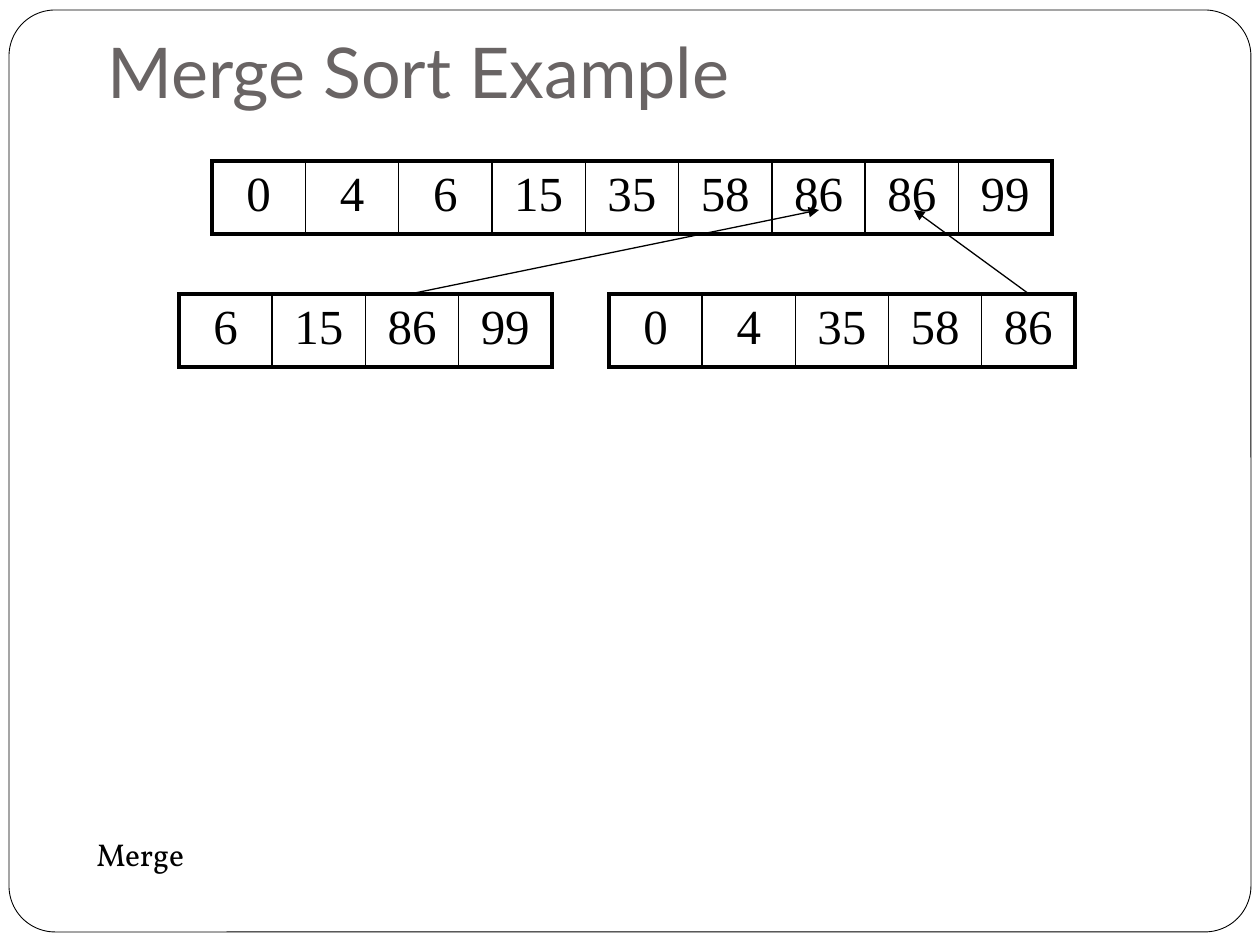
from dataclasses import dataclass

from lxml import etree
from pptx import Presentation
from pptx.dml.color import RGBColor
from pptx.enum.shapes import MSO_CONNECTOR, MSO_SHAPE
from pptx.enum.text import MSO_ANCHOR, PP_ALIGN
from pptx.oxml.ns import qn
from pptx.util import Emu, Pt

PX = 914400 / 126
COLORS = {"ink": "000000", "paper": "FFFFFF", "title": "696464"}
ROW_HEIGHT = 73
THICK, THIN = 2.25, 1


@dataclass(frozen=True)
class ArrayRow:
    left: int
    top: int
    width: int
    values: tuple[int, ...]


@dataclass(frozen=True)
class Label:
    text: str
    box: tuple[int, int, int, int]
    font: str
    size: int
    color: str
    anchor: MSO_ANCHOR
    bottom_inset: int


@dataclass(frozen=True)
class Arrow:
    start: tuple[int, int]
    end: tuple[int, int]


ARRAYS = (
    ArrayRow(212, 161, 840, (0, 4, 6, 15, 35, 58, 86, 86, 99)),
    ArrayRow(179, 294, 373, (6, 15, 86, 99)),
    ArrayRow(609, 294, 466, (0, 4, 35, 58, 86)),
)
LABELS = (
    Label("Merge Sort Example", (95, 0, 1071, 126), "Lato", 40, "title", MSO_ANCHOR.BOTTOM, 13),
    Label("Merge", (84, 829, 640, 63), "Vollkorn", 18, "ink", MSO_ANCHOR.TOP, 6),
)
ARROWS = (
    Arrow((410, 294), (819, 210)),
    Arrow((1029, 294), (914, 210)),
)


def px(value: float) -> Emu:
    return Emu(round(value * PX))


def rgb(name: str) -> RGBColor:
    return RGBColor.from_string(COLORS[name])


def style_run(run, font: str, size: int, color: str) -> None:
    run.font.name = font
    run.font.size = Pt(size)
    run.font.color.rgb = rgb(color)


def add_frame(slide) -> None:
    frame = slide.shapes.add_shape(
        MSO_SHAPE.ROUNDED_RECTANGLE, px(9), px(10), px(1242), px(922))
    frame.adjustments[0] = 0.05
    frame.shadow.inherit = False
    frame.fill.solid()
    frame.fill.fore_color.rgb = rgb("paper")
    frame.line.color.rgb = rgb("ink")
    frame.line.width = Pt(0.5)


def add_label(slide, label: Label) -> None:
    frame = slide.shapes.add_textbox(*map(px, label.box)).text_frame
    frame.word_wrap = True
    frame.vertical_anchor = label.anchor
    frame.margin_bottom = px(label.bottom_inset)
    run = frame.paragraphs[0].add_run()
    run.text = label.text
    style_run(run, label.font, label.size, label.color)


def set_borders(cell, widths: dict[str, float]) -> None:
    properties = cell._tc.get_or_add_tcPr()
    for side, width in widths.items():
        line = etree.SubElement(properties, qn(f"a:ln{side}"), w=str(Pt(width)))
        fill = etree.SubElement(line, qn("a:solidFill"))
        etree.SubElement(fill, qn("a:srgbClr"), val=COLORS["ink"])


def add_array(slide, row: ArrayRow) -> None:
    count = len(row.values)
    table = slide.shapes.add_table(
        1, count, px(row.left), px(row.top), px(row.width), px(ROW_HEIGHT)).table
    table.first_row = False
    table.horz_banding = False
    for index, value in enumerate(row.values):
        table.columns[index].width = px(row.width / count)
        cell = table.cell(0, index)
        set_borders(cell, {
            "L": THICK if index == 0 else THIN,
            "R": THICK if index == count - 1 else THIN,
            "T": THICK,
            "B": THICK,
        })
        cell.fill.background()
        paragraph = cell.text_frame.paragraphs[0]
        paragraph.alignment = PP_ALIGN.CENTER
        run = paragraph.add_run()
        run.text = str(value)
        style_run(run, "Times New Roman", 28, "ink")


def add_arrow(slide, arrow: Arrow) -> None:
    connector = slide.shapes.add_connector(
        MSO_CONNECTOR.STRAIGHT, *map(px, arrow.start + arrow.end))
    connector.line.color.rgb = rgb("ink")
    connector.line.width = Pt(0.75)
    etree.SubElement(connector.line._get_or_add_ln(), qn("a:tailEnd"), type="triangle")
    etree.SubElement(connector._element.spPr, qn("a:effectLst"))


def main() -> None:
    presentation = Presentation()
    presentation.slide_width = px(1260)
    presentation.slide_height = px(945)
    slide = presentation.slides.add_slide(presentation.slide_layouts[6])
    add_frame(slide)
    for row in ARRAYS:
        add_array(slide, row)
    for label in LABELS:
        add_label(slide, label)
    for arrow in ARROWS:
        add_arrow(slide, arrow)
    presentation.save("out.pptx")


main()
